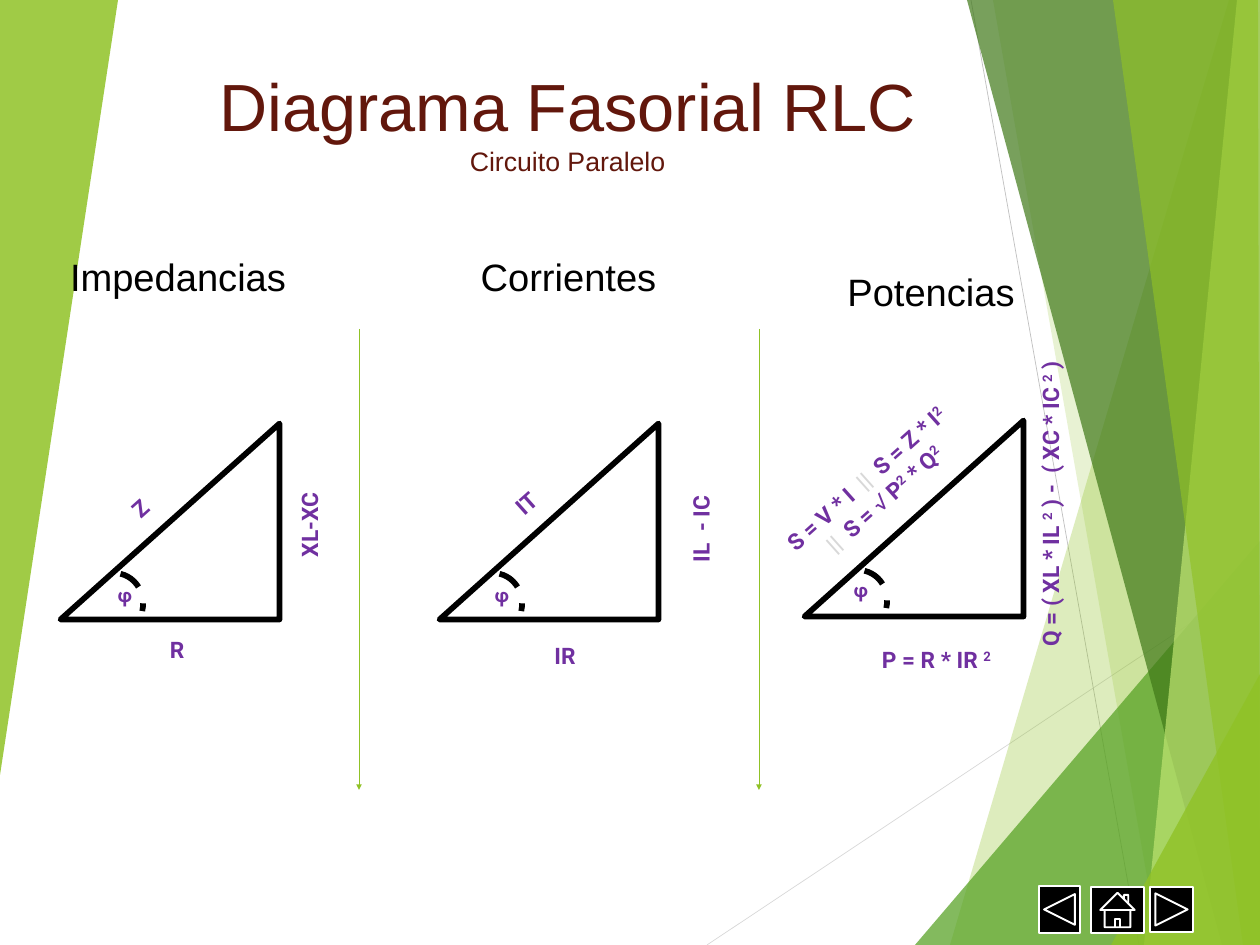
from lxml import etree
from pptx import Presentation
from pptx import util as u
from pptx.dml.color import RGBColor
from pptx.enum import shapes, text
from pptx.oxml.ns import qn

PX = 914400 / 68.6
W, H = 1260, 945
COLORS = {
    "white": "FFFFFF", "black": "000000", "title": "62170C", "label": "7030A0",
    "bar": "D8D8D8", "grey": "BFBFBF", "lime": "90C226", "green": "54A021",
    "dark": "3F7818", "pale": "BFE471",
}
RGB = {name: RGBColor.from_string(value) for name, value in COLORS.items()}


def px(*lengths):
    return [u.Emu(round(n * PX)) for n in lengths]


prs = Presentation()
prs.slide_width, prs.slide_height = px(W, H)
s = prs.slides.add_slide(prs.slide_layouts[5])

# Background facets: colour, opacity in percent, corners
facets = [
    ("lime", 30, [(1229, 0), (950, H), (W, H), (W, 0)]),
    ("lime", 20, [(993, 0), (1159, H), (W, H), (W, 0)]),
    ("green", 72, [(915, H), (W, 541), (W, H)]),
    ("dark", 70, [(967, 0), (1222, H), (W, H), (W, 0)]),
    ("pale", 70, [(1237, 0), (1144, H), (W, H), (W, 0)]),
    ("lime", 65, [(1113, 0), (1243, H), (W, H), (1258, 0)]),
    ("lime", 80, [(1111, H), (W, 674), (W, H)]),
    ("lime", 85, [(0, 0), (118, 0), (0, 775)]),
]
# Lines: ends, colour, width, arrowhead; two behind the facets, two dividers
lines = [
    ((707, 945, 1260, 577), "bar", 0.75, False),
    ((971, 0, 1139, 945), "grey", 0.75, False),
    ((359, 329, 359, 790), "lime", 1, True),
    ((759, 329, 759, 790), "lime", 1, True),
]
for ends, color, width, arrow in lines:
    c = s.shapes.add_connector(shapes.MSO_CONNECTOR.STRAIGHT, *px(*ends))
    c.line.color.rgb = RGB[color]
    c.line.width = u.Pt(width)
    if arrow:
        etree.SubElement(c.line._get_or_add_ln(), qn("a:tailEnd"), type="triangle")
    etree.SubElement(c._element.spPr, qn("a:effectLst"))

for color, opacity, corners in facets:
    fb = s.shapes.build_freeform(*corners[0], scale=PX)
    fb.add_line_segments(corners[1:], close=True)
    sp = fb.convert_to_shape()
    sp.shadow.inherit = False
    sp.fill.solid()
    sp.fill.fore_color.rgb = RGB[color]
    clr = sp._element.spPr.find(".//" + qn("a:srgbClr"))
    etree.SubElement(clr, qn("a:alpha"), val=str(opacity * 1000))
    sp.line.fill.background()

# Title and subtitle
title = s.shapes.title
title.left, title.top, title.width, title.height = px(200, 61, 735, 120)
tf = title.text_frame
tf.text = "Diagrama Fasorial RLC\nCircuito Paralelo"
tf.auto_size = text.MSO_AUTO_SIZE.NONE
tf.vertical_anchor = text.MSO_ANCHOR.TOP
for p, size in zip(tf.paragraphs, (70, 28)):
    p.alignment = text.PP_ALIGN.CENTER
    font = p.runs[0].font
    font.name, font.size, font.color.rgb = "Arial", u.Pt(size), RGB["title"]

# Phasor triangles, each with its dashed angle arc
for x, y in [(72, 412), (451, 412), (816, 409)]:
    tri = s.shapes.add_shape(shapes.MSO_SHAPE.RIGHT_TRIANGLE, *px(x, y, 196, 219))
    tri.rotation = 270
    tri.fill.solid()
    tri.fill.fore_color.rgb = RGB["white"]
    arc = s.shapes.add_shape(shapes.MSO_SHAPE.ARC, *px(x + 12, y + 161, 59, 63))
    arc.rotation = 12.9
    arc.fill.background()
    for sp in (tri, arc):
        sp.shadow.inherit = False
        sp.line.color.rgb = RGB["black"]
        sp.line.width = u.Pt(6)
    arc.line.dash_style = 4  # dash


def add_text(box, paragraphs, size=23.8, rotation=0, font="Roboto", color="label"):
    """Each paragraph is a list of (text, style) runs."""
    tb = s.shapes.add_textbox(*px(*box))
    tb.rotation = rotation
    tf = tb.text_frame
    tf.word_wrap = True
    for i, runs in enumerate(paragraphs):
        p = tf.add_paragraph() if i else tf.paragraphs[0]
        p.alignment = text.PP_ALIGN.CENTER
        for words, style in runs:
            r = p.add_run()
            r.text = words
            r.font.name, r.font.size = font, u.Pt(size)
            r.font.bold = font == "Roboto" and style != "light"
            r.font.color.rgb = RGB["bar" if style == "bar" else color]
            if style == "sup":
                r.font._element.set("baseline", "30000")


# Column headings
for box, heading in [
    ((56, 250, 244, 53), "Impedancias"),
    ((469, 250, 199, 53), "Corrientes"),
    ((838, 265, 186, 53), "Potencias"),
]:
    add_text(box, [[(heading, "")]], 40, font="Arial", color="black")

# Angle names
for x, y in [(111, 580), (488, 580), (847, 575)]:
    add_text((x, y, 28, 30), [[("φ", "")]], 20)

# Side labels: box, rotation, paragraphs
SLOPE, UP = 318.2, 270
labels = [
    ((15, 491, 250, 34), SLOPE, [[("Z", "")]]),
    ((52, 632, 250, 34), 0, [[("R", "")]]),
    ((141, 508, 336, 34), UP, [[("XL-XC", "")]]),
    ((401, 486, 250, 34), SLOPE, [[("IT", "")]]),
    ((397, 638, 336, 34), 0, [[("IR", "")]]),
    ((591, 512, 219, 34), UP, [[("IL  - IC", "")]]),
    ((750, 458, 250, 62), SLOPE, [
        [("S = V * I  ", ""), ("||", "bar"), ("  S = Z * I", ""), ("2", "sup")],
        [("||", "bar"), ("  S = ", ""), ("√", "light"), (" P", ""), ("2", "sup"),
         (" * Q", ""), ("2", "sup")],
    ]),
    ((770, 642, 336, 34), 0, [[("P = R * IR ", ""), ("2 ", "sup")]]),
    ((906, 473, 316, 62), UP, [
        [("Q = ( XL * IL ", ""), ("2", "sup"), (" ) -  ( XC * IC ", ""),
         ("2", "sup"), (" )", "")],
    ]),
]
for box, rotation, paragraphs in labels:
    add_text(box, paragraphs, rotation=rotation)

# Navigation buttons
for kind, box in [
    (shapes.MSO_SHAPE.ACTION_BUTTON_BACK_OR_PREVIOUS, (1039, 886, 41, 47)),
    (shapes.MSO_SHAPE.ACTION_BUTTON_HOME, (1091, 887, 53, 46)),
    (shapes.MSO_SHAPE.ACTION_BUTTON_FORWARD_OR_NEXT, (1150, 887, 43, 45)),
]:
    sp = s.shapes.add_shape(kind, *px(*box))
    sp.shadow.inherit = False
    sp.fill.solid()
    sp.fill.fore_color.rgb = RGB["black"]
    sp.line.color.rgb = RGB["white"]
    sp.line.width = u.Pt(2)

prs.save("out.pptx")
